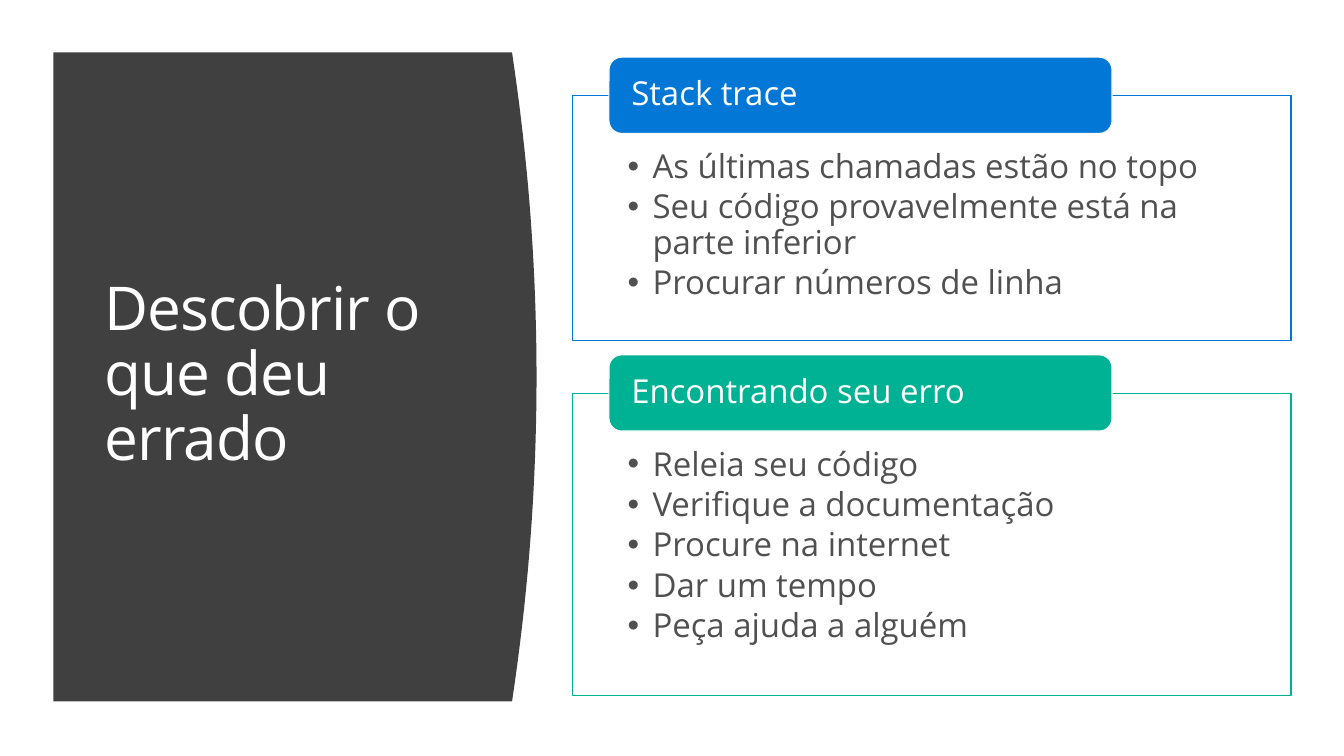
"""Build the slide on finding out what went wrong."""
from dataclasses import dataclass

from lxml import etree
from pptx import Presentation
from pptx import util as u
from pptx.dml.color import RGBColor
from pptx.enum import shapes, text
from pptx.oxml import ns

FONT = "Open Sans"
WHITE = RGBColor(0xFF, 0xFF, 0xFF)
CHARCOAL = RGBColor(0x40, 0x40, 0x40)
GREY = RGBColor(0x50, 0x50, 0x50)
BLUE = RGBColor(0x03, 0x77, 0xD6)
GREEN = RGBColor(0x00, 0xB2, 0x94)


@dataclass(frozen=True)
class Card:
    heading: str
    points: tuple[str, ...]
    color: RGBColor
    top: float
    height: float


CARDS = (
    Card("Stack trace",
         ("As últimas chamadas estão no topo",
          "Seu código provavelmente está na parte inferior",
          "Procurar números de linha"),
         BLUE, 2.46, 6.3),
    Card("Encontrando seu erro",
         ("Releia seu código", "Verifique a documentação", "Procure na internet",
          "Dar um tempo", "Peça ajuda a alguém"),
         GREEN, 10.11, 7.77),
)


def draw_panel(page) -> None:
    left, top, edge, bulge, height, steps = 1.37, 1.35, 13.16, 0.63, 16.68, 40
    curve = []
    for step in range(steps + 1):
        part = step / steps
        x = edge + bulge * 4 * part * (1 - part)
        curve.append((u.Cm(x), u.Cm(top + height * part)))
    builder = page.shapes.build_freeform(u.Cm(left), u.Cm(top))
    builder.add_line_segments(curve + [(u.Cm(left), u.Cm(top + height))], close=True)
    panel = builder.convert_to_shape()
    panel.shadow.inherit = False
    panel.fill.solid()
    panel.fill.fore_color.rgb = CHARCOAL
    panel.line.fill.background()


def set_frame(box, anchor: text.MSO_ANCHOR, margins: tuple[float, ...]) -> None:
    frame = box.text_frame
    frame.word_wrap = True
    frame.vertical_anchor = anchor
    (frame.margin_left, frame.margin_top,
     frame.margin_right, frame.margin_bottom) = map(u.Cm, margins)


def write(para, words: str, size: int, color: RGBColor):
    para.alignment = text.PP_ALIGN.LEFT
    para.line_spacing = 0.9
    span = para.add_run()
    span.text = words
    span.font.name = FONT
    span.font.size = u.Pt(size)
    span.font.color.rgb = color
    return span


def add_bullet(para) -> None:
    props = para._p.get_or_add_pPr()
    props.set("marL", str(u.Cm(0.64)))
    props.set("indent", str(-u.Cm(0.64)))
    etree.SubElement(props, ns.qn("a:buFont")).set("typeface", "Arial")
    etree.SubElement(props, ns.qn("a:buChar")).set("char", "•")


def draw_title(page) -> None:
    box = page.shapes.add_textbox(u.Cm(2.44), u.Cm(2.87), u.Cm(9.68), u.Cm(13.59))
    set_frame(box, text.MSO_ANCHOR.MIDDLE, (0.25, 0.13, 0.25, 0.13))
    span = write(box.text_frame.paragraphs[0], "Descobrir o que deu errado", 44, WHITE)
    span.font._element.set("spc", "-70")


def draw_block(page, kind: shapes.MSO_SHAPE, place: tuple[float, ...],
               fill: RGBColor, line: RGBColor):
    box = page.shapes.add_shape(kind, *map(u.Cm, place))
    box.shadow.inherit = False
    box.fill.solid()
    box.fill.fore_color.rgb = fill
    box.line.color.rgb = line
    box.line.width = u.Pt(0.85)
    return box


def draw_card(page, card: Card) -> None:
    box = draw_block(page, shapes.MSO_SHAPE.RECTANGLE,
                     (14.71, card.top, 18.47, card.height), WHITE, card.color)
    tint = box.fill._xPr.find(".//" + ns.qn("a:srgbClr"))
    etree.SubElement(tint, ns.qn("a:alpha")).set("val", "90000")
    set_frame(box, text.MSO_ANCHOR.TOP, (1.42, 1.4, 1.42, 0.48))
    for index, point in enumerate(card.points):
        frame = box.text_frame
        para = frame.add_paragraph() if index else frame.paragraphs[0]
        write(para, point, 24, GREY)
        para.space_after = u.Pt(3.5)
        add_bullet(para)

    tag = draw_block(page, shapes.MSO_SHAPE.ROUNDED_RECTANGLE,
                     (15.65, card.top - 0.99, 12.93, 1.96), card.color, WHITE)
    set_frame(tag, text.MSO_ANCHOR.MIDDLE, (0.48, 0, 0.48, 0))
    write(tag.text_frame.paragraphs[0], card.heading, 24, WHITE)


def main() -> None:
    deck = Presentation()
    deck.slide_width, deck.slide_height = u.Cm(34.54), u.Cm(19.43)
    page = deck.slides.add_slide(deck.slide_layouts[6])
    draw_panel(page)
    draw_title(page)
    for card in CARDS:
        draw_card(page, card)
    deck.save("out.pptx")


if __name__ == "__main__":
    main()
